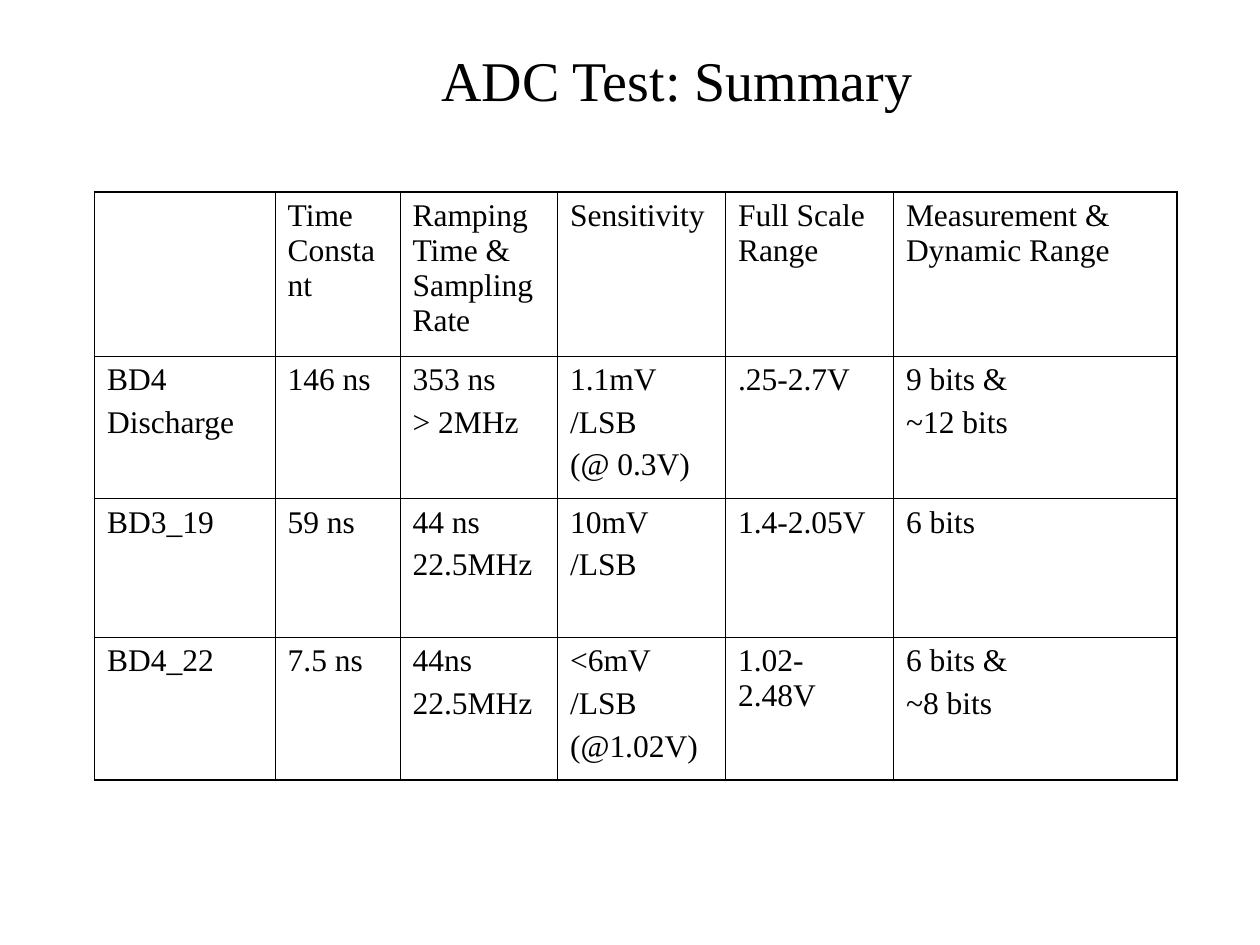
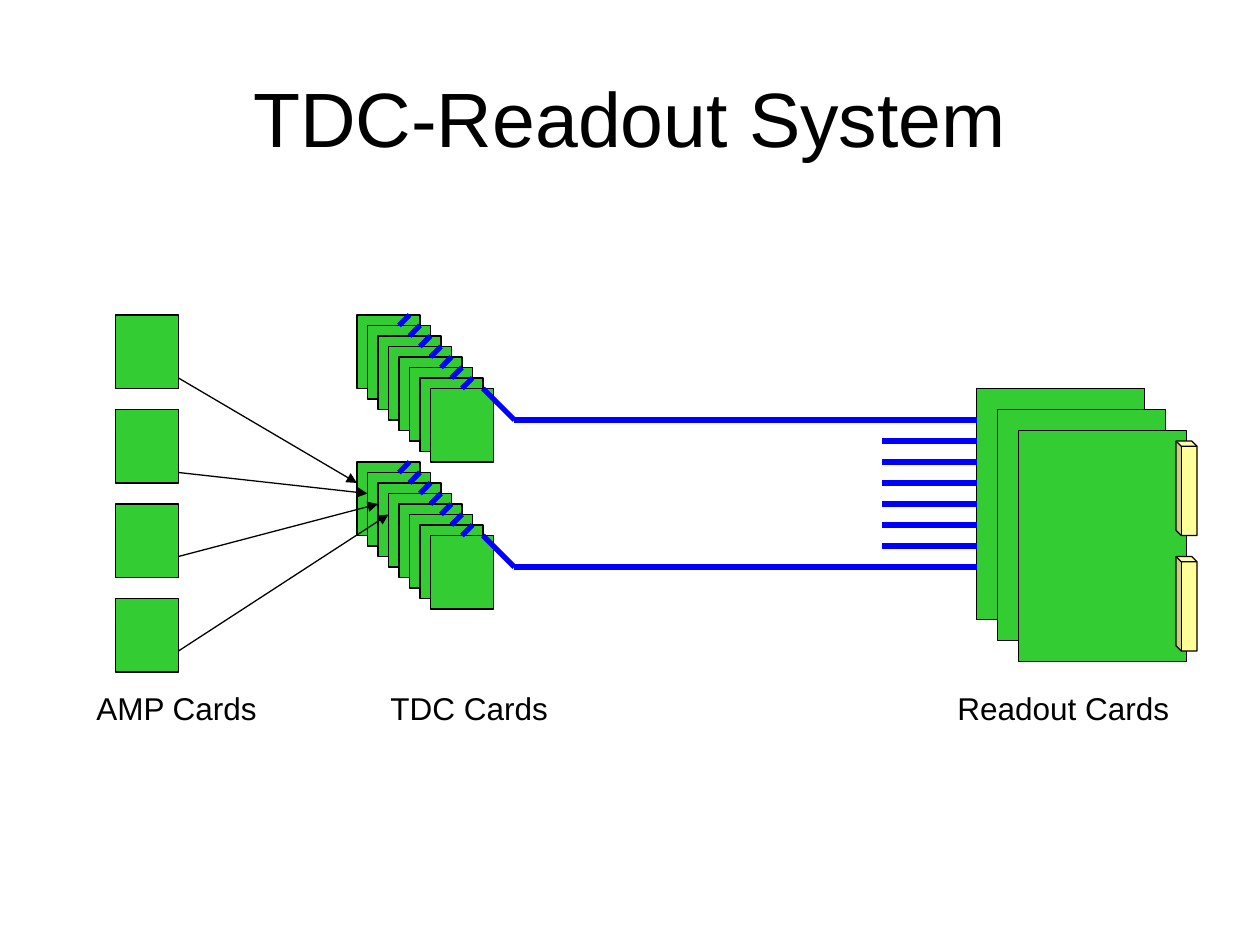
import pptx
import pptx.dml.color
import pptx.enum.shapes
import pptx.enum.text
import pptx.oxml
import pptx.oxml.ns
import pptx.util
from lxml import etree

EMU_PER_PX = 7620
BLACK, GREEN, BLUE, YELLOW = "000000", "33CC33", "0000FF", "FFFF99"
SERIF, SANS = "Times New Roman", "Arial"
HAIR, THIN, OUTER, CABLE = 0.45, 0.75, 1.08, 3
SHAPES = pptx.enum.shapes.MSO_SHAPE


def px(length):
    return pptx.util.Emu(length * EMU_PER_PX)


def color(value):
    return pptx.dml.color.RGBColor.from_string(value)


def apply(target, values):
    for name, value in values.items():
        setattr(target, name, value)


def add_element(parent, tag, **attributes):
    return etree.SubElement(parent, pptx.oxml.ns.qn(tag), **attributes)


class Deck:
    def __init__(self):
        self.presentation = pptx.Presentation()
        apply(self.presentation, {"slide_width": px(1200), "slide_height": px(900)})
        self.slide = None

    def new_slide(self):
        self.slide = self.presentation.slides.add_slide(self.presentation.slide_layouts[6])

    def add_lines(self, frame, lines, size, font, **paragraph_format):
        for index, line in enumerate(lines):
            paragraph = frame.add_paragraph() if index else frame.paragraphs[0]
            paragraph.text = line
            apply(paragraph, paragraph_format)
            if index:
                paragraph.space_before = pptx.util.Pt(4.5)
            apply(paragraph.font, {"size": pptx.util.Pt(size), "name": font})
            paragraph.font.color.rgb = color(BLACK)

    def title(self, text, box, size, font):
        frame = self.slide.shapes.add_textbox(*map(px, box)).text_frame
        apply(frame, {"word_wrap": True, "vertical_anchor": pptx.enum.text.MSO_ANCHOR.MIDDLE})
        self.add_lines(frame, [text], size, font, alignment=pptx.enum.text.PP_ALIGN.CENTER)

    def label(self, text, left, width):
        frame = self.slide.shapes.add_textbox(px(left), px(650), px(width), px(48)).text_frame
        apply(frame, {"word_wrap": False,
                      "auto_size": pptx.enum.text.MSO_AUTO_SIZE.SHAPE_TO_FIT_TEXT})
        self.add_lines(frame, [text], 18, SANS)

    def shape(self, left, top, width, height, fill=GREEN, kind=SHAPES.RECTANGLE):
        shape = self.slide.shapes.add_shape(kind, px(left), px(top), px(width), px(height))
        shape.shadow.inherit = False
        shape.fill.solid()
        shape.fill.fore_color.rgb = color(fill)
        shape.line.color.rgb = color(BLACK)
        shape.line.width = pptx.util.Pt(THIN)
        return shape

    def connector(self, left, top):
        shape = self.shape(left, top, 20, 90, YELLOW, SHAPES.CUBE)
        shape.adjustments[0] = 0.25
        shape._element.spPr.xfrm.set("flipH", "1")

    def line(self, start, end, stroke=BLUE, width=CABLE, arrow=False):
        line = self.slide.shapes.add_connector(
            pptx.enum.shapes.MSO_CONNECTOR.STRAIGHT, *map(px, start + end))
        line.line.color.rgb = color(stroke)
        line.line.width = pptx.util.Pt(width)
        properties = line._element.spPr
        if arrow:
            add_element(properties.get_or_add_ln(), "a:tailEnd", type="triangle")
        add_element(properties, "a:effectLst")

    def border(self, cell, widths):
        properties = cell._tc.get_or_add_tcPr()
        for side, width in widths.items():
            edge = add_element(properties, f"a:ln{side}", w=str(pptx.util.Pt(width)))
            add_element(add_element(edge, "a:solidFill"), "a:srgbClr", val=BLACK)

    def table(self, left, top, columns, heights, rows):
        table = self.slide.shapes.add_table(
            len(rows), len(columns), px(left), px(top),
            px(sum(columns)), px(sum(heights))).table
        apply(table, {"first_row": False, "horz_banding": False})
        for column, width in zip(table.columns, columns):
            column.width = px(width)
        last_row, last_column = len(rows) - 1, len(columns) - 1
        for r, row in enumerate(rows):
            table.rows[r].height = px(heights[r])
            for c, text in enumerate(row):
                cell = table.cell(r, c)
                outside = {"L": c == 0, "R": c == last_column, "T": r == 0, "B": r == last_row}
                self.border(cell, {side: OUTER if edge else HAIR
                                   for side, edge in outside.items()})
                cell.fill.background()
                self.add_lines(cell.text_frame, text.split("\n"), 18, SERIF)


def build_adc_summary(deck):
    deck.new_slide()
    deck.title("ADC Test: Summary", (110, 20, 1070, 110), 32, SERIF)
    deck.table(90, 183, [172, 119, 150, 160, 160, 270], [156, 136, 132, 136], [
        ["", "Time Constant", "Ramping Time & Sampling Rate", "Sensitivity",
         "Full Scale Range", "Measurement & Dynamic Range"],
        ["BD4\nDischarge", "146 ns", "353 ns\n> 2MHz", "1.1mV\n/LSB\n(@ 0.3V)",
         ".25-2.7V", "9 bits &\n~12 bits"],
        ["BD3_19", "59 ns", "44 ns\n22.5MHz", "10mV\n/LSB", "1.4-2.05V", "6 bits"],
        ["BD4_22", "7.5 ns", "44ns\n22.5MHz", "<6mV\n/LSB\n(@1.02V)",
         "1.02-2.48V", "6 bits &\n~8 bits"],
    ])


def draw_tdc_stack(deck, top):
    for offset in range(0, 80, 10):
        deck.shape(340 + offset, top + offset, 60, 70)
    for offset in range(0, 70, 10):
        deck.line((390 + offset, top + offset), (380 + offset, top + offset + 10))
    deck.line((460, top + 70), (490, top + 100))
    deck.line((490, top + 100), (930, top + 100))


def build_tdc_readout(deck):
    deck.new_slide()
    deck.title("TDC-Readout System", (60, 36, 1080, 150), 44, SANS)
    for offset in range(0, 60, 20):
        deck.shape(930 + offset, 370 + offset, 160, 220)
    for top in (300, 440):
        draw_tdc_stack(deck, top)
    for y in range(420, 521, 20):
        deck.line((840, y), (930, y))
    for top in (420, 530):
        deck.connector(1120, top)
    for card, output_y in enumerate((360, 450, 530, 620)):
        deck.shape(110, 300 + 90 * card, 60, 70)
        deck.line((170, output_y), (340 + 10 * card, 460 + 10 * card), BLACK, THIN, arrow=True)
    for text, left, width in (("AMP Cards", 80, 178), ("TDC Cards", 360, 174),
                              ("Readout Cards", 900, 226)):
        deck.label(text, left, width)


def main():
    deck = Deck()
    build_adc_summary(deck)
    build_tdc_readout(deck)
    deck.presentation.save("out.pptx")


if __name__ == "__main__":
    main()
